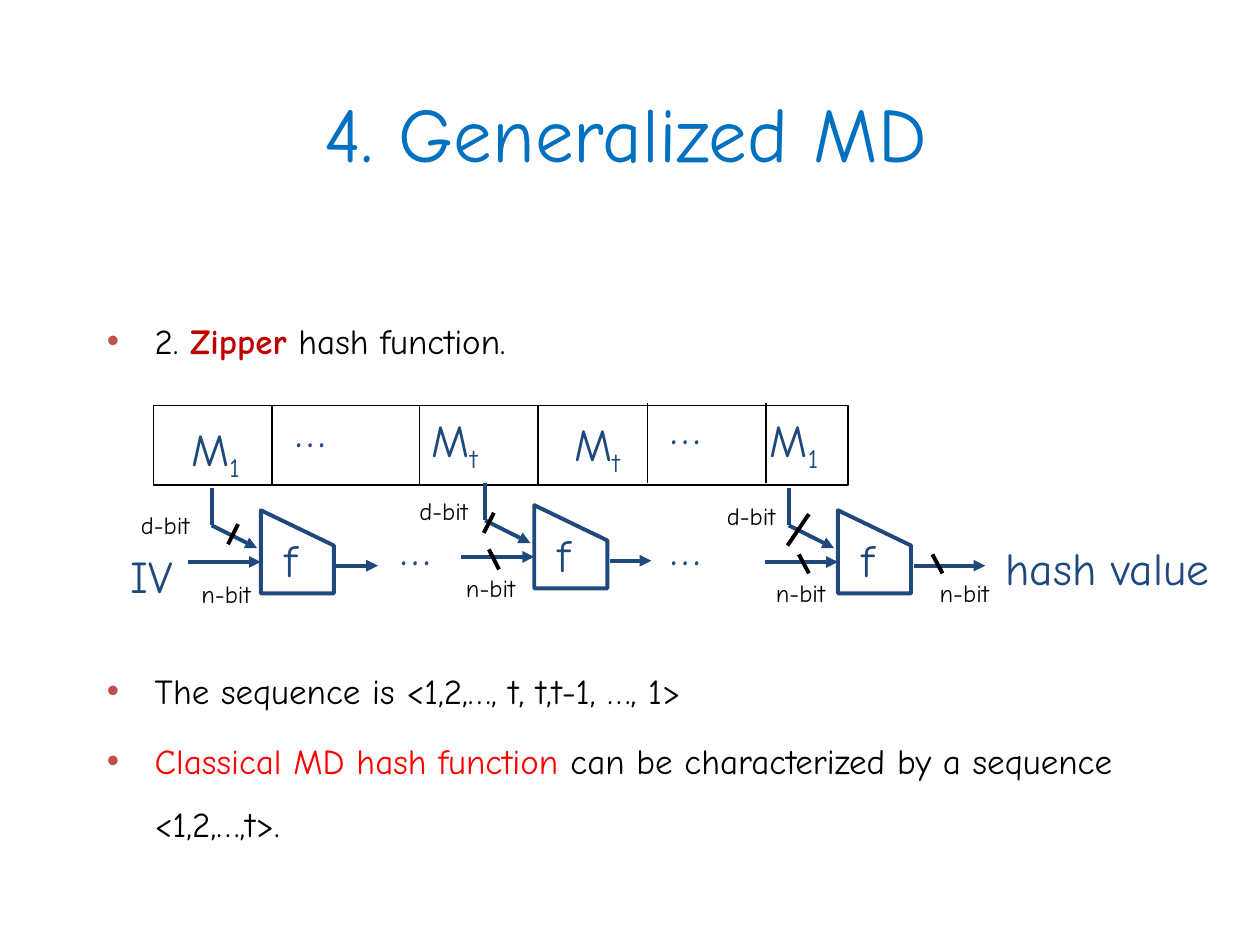
from lxml import etree
from pptx import Presentation
from pptx.dml.color import RGBColor
from pptx.enum.shapes import MSO_CONNECTOR, MSO_SHAPE
from pptx.enum.text import MSO_ANCHOR, MSO_AUTO_SIZE, PP_ALIGN
from pptx.oxml.ns import qn
from pptx.util import Inches, Pt

STRAIGHT = MSO_CONNECTOR.STRAIGHT
RECT = MSO_SHAPE.RECTANGLE
MIDDLE = MSO_ANCHOR.MIDDLE
GROW = MSO_AUTO_SIZE.SHAPE_TO_FIT_TEXT
CENTER = PP_ALIGN.CENTER
FONT = "Comic Neue"
NAVY, BLACK, BLUE = "1F497D", "000000", "0070C0"
DARK, RED, BRICK = "C00000", "FF0000", "C0504D"


def paint(fmt, color):
    """Give a font, or a fill made solid, its colour."""
    fmt.rgb = RGBColor.from_string(color)


def style(run, size, color, bold=False):
    """Format one run."""
    run.font.name = FONT
    run.font.size = Pt(size)
    run.font.bold = bold
    paint(run.font.color, color)


def frame(slide, x, y, w, h, wrap=True):
    """Add an empty text box and return its text frame."""
    text = slide.shapes.add_textbox(Inches(x), Inches(y), Inches(w), Inches(h)).text_frame
    text.word_wrap = wrap
    return text


def label(slide, x, y, w, text, sub="", size=26, color=NAVY):
    """Add a short label with an optional subscript."""
    small = size < 20
    box = frame(slide, x, y, w, 0.33 if small else 0.53, small)
    box.auto_size = GROW
    para = box.paragraphs[0]
    para.text = text
    if sub:
        para.add_run().text = sub
        para.runs[1].font._element.set("baseline", "-25000")
    for run in para.runs:
        style(run, size, color)


def bits(slide, x, y, text):
    """Add a bit width label."""
    label(slide, x, y, 0.87, text, size=14, color=BLACK)


def line(slide, x1, y1, x2, y2, color=NAVY, width=2.25, arrow=False):
    """Draw a line, with an arrowhead at its end if asked."""
    link = slide.shapes.add_connector(STRAIGHT, Inches(x1), Inches(y1), Inches(x2), Inches(y2))
    paint(link.line.color, color)
    link.line.width = Pt(width)
    props = link._element.spPr
    if arrow:
        etree.SubElement(props.find(qn("a:ln")), qn("a:tailEnd"), type="triangle")
    etree.SubElement(props, qn("a:effectLst"))


def outline(shape, color, width):
    """Leave a shape with only a line."""
    shape.shadow.inherit = False
    shape.fill.background()
    paint(shape.line.color, color)
    shape.line.width = Pt(width)


def title(slide, x, y, w, h):
    """Place the slide title."""
    box = frame(slide, x, y, w, h)
    box.vertical_anchor = MIDDLE
    box.text = "4. Generalized MD"
    para = box.paragraphs[0]
    para.alignment = CENTER
    style(para.runs[0], 44, BLUE)


def body(slide, x, y, w, h):
    """Place the bullets, with room for the diagram after the first."""
    items = [
        (0, [("2. ", BLACK), ("Zipper", DARK), (" hash function.", BLACK)]),
        (164, [("The sequence is <1,2,…, t, t,t-1, …, 1>", BLACK)]),
        (4, [("Classical MD hash function ", RED),
             ("can be characterized by a sequence <1,2,…,t>.", BLACK)]),
    ]
    box = frame(slide, x, y, w, h)
    for i, (gap, parts) in enumerate(items):
        para = box.add_paragraph() if i else box.paragraphs[0]
        props = para._p.get_or_add_pPr()
        props.set("marL", str(Inches(0.38)))
        props.set("indent", str(-Inches(0.38)))
        tint = etree.SubElement(props, qn("a:buClr"))
        etree.SubElement(tint, qn("a:srgbClr"), val=BRICK)
        etree.SubElement(props, qn("a:buFont"), typeface="Arial")
        etree.SubElement(props, qn("a:buChar"), char="•")
        para.line_spacing = 1.5
        para.space_before = Pt(gap)
        for text, color in parts:
            run = para.add_run()
            run.text = text
            style(run, 20, color, color == DARK)


def strip(slide, x, y, w, h):
    """Draw the row of message blocks."""
    outline(slide.shapes.add_shape(RECT, Inches(x), Inches(y), Inches(w), Inches(h)), BLACK, 0.75)
    for dx, dy in [(0.94, 0), (2.11, 0), (3.05, 0), (3.92, -0.02), (4.86, -0.02)]:
        line(slide, x + dx, y + dy, x + dx, y + dy + h, BLACK, 0.75)
    blocks = [(0.2, 0.07, "M", "1"), (1.03, -0.08, "…", ""), (2.11, 0, "M", "t"),
              (3.24, 0.03, "M", "t"), (4, -0.1, "…", ""), (4.79, 0, "M", "1")]
    for dx, dy, text, sub in blocks:
        label(slide, x + dx, y + dy, 0.63 if sub else 0.44, text, sub)


def stage(slide, x, y, w, h, out, ticks, notes):
    """Draw one f block with its inputs, output, ticks and bit widths."""
    pen = slide.shapes.build_freeform(Inches(x), Inches(y), scale=1.0)
    corners = [(x + w, y + 0.28), (x + w, y + h), (x, y + h)]
    pen.add_line_segments([(Inches(a), Inches(b)) for a, b in corners], close=True)
    outline(pen.convert_to_shape(), NAVY, 2.25)
    label(slide, x + 0.09, y + 0.12, 0.39, "f")
    line(slide, x - 0.58, y + 0.41, x, y + 0.41, arrow=True)
    line(slide, x - 0.39, y - 0.18, x - 0.39, y + 0.12)
    line(slide, x - 0.39, y + 0.12, x - 0.03, y + 0.3, arrow=True)
    line(slide, x + w + 0.02, y + 0.44, x + w + out, y + 0.44, arrow=True)
    for x1, y1, x2, y2 in ticks:
        line(slide, x + x1, y + y1, x + x2, y + y2, BLACK)
    for dx, dy, text in notes:
        bits(slide, x + dx, y + dy, text)


def main():
    """Build the slide."""
    deck = Presentation()
    deck.slide_width, deck.slide_height = Inches(10), Inches(7.5)
    slide = deck.slides.add_slide(deck.slide_layouts[6])
    title(slide, 0.2, 0.42, 9.53, 1.25)
    body(slide, 0.75, 2.32, 8.5, 4.6)
    strip(slide, 1.22, 3.22, 5.51, 0.63)
    stages = [
        (2.07, 4.05, 0.35, [(-0.18, 0.11, -0.26, 0.27)],
         [(-1.05, -0.05, "d-bit"), (-0.57, 0.5, "n-bit")]),
        (4.24, 4.01, 0.35, [(-0.32, 0.06, -0.4, 0.22), (-0.36, 0.35, -0.28, 0.51)],
         [(-1.01, -0.12, "d-bit"), (-0.64, 0.49, "n-bit")]),
        (6.65, 4.05, 0.59,
         [(-0.23, 0.03, -0.4, 0.28), (-0.31, 0.35, -0.23, 0.5), (0.75, 0.35, 0.83, 0.5)],
         [(-0.98, -0.12, "d-bit"), (-0.59, 0.49, "n-bit"), (0.71, 0.49, "n-bit")]),
    ]
    for x, y, out, ticks, notes in stages:
        stage(slide, x, y, 0.58, 0.66, out, ticks, notes)
    label(slide, 0.94, 4.3, 0.63, "IV")
    for x in (3.08, 5.22):
        label(slide, x, 4.08, 0.44, "…")
    label(slide, 7.88, 4.24, 1.93, "hash value")
    deck.save("out.pptx")


if __name__ == "__main__":
    main()
